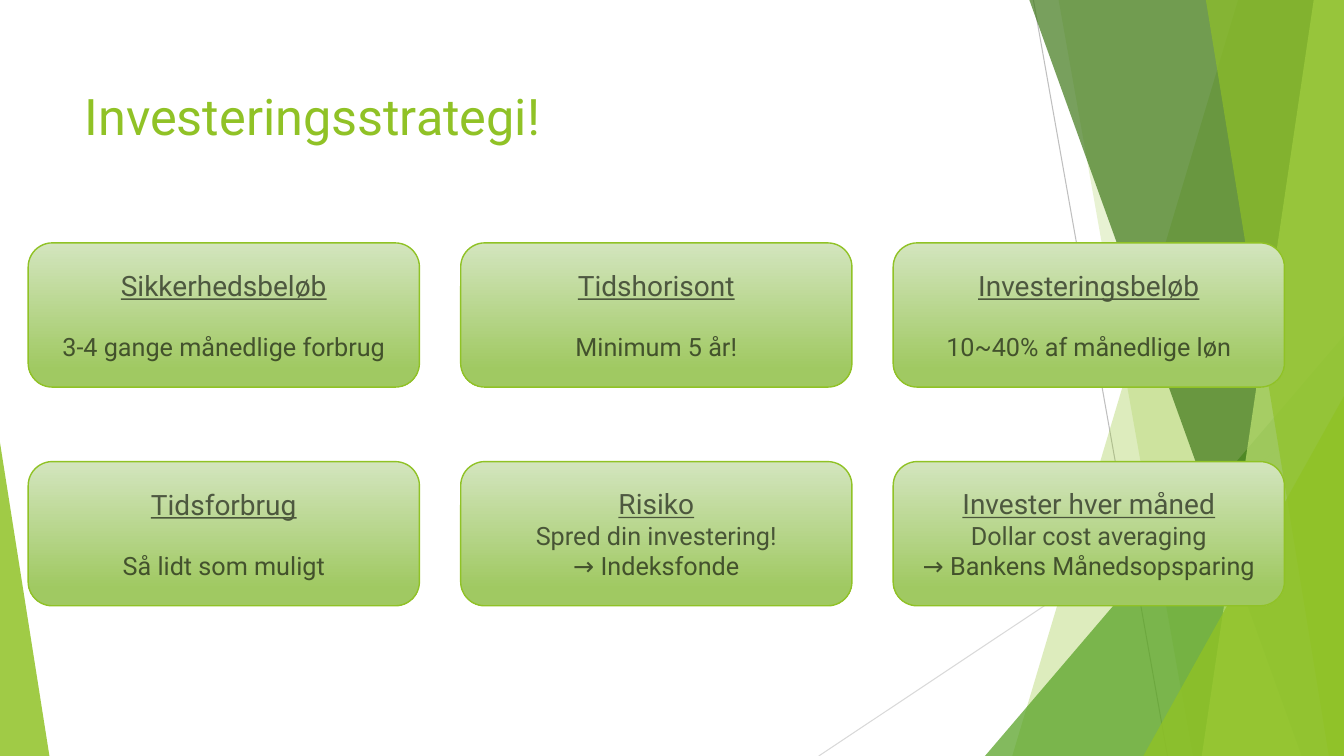
from pptx import Presentation
from pptx.dml.color import RGBColor
from pptx.enum.shapes import MSO_CONNECTOR, MSO_SHAPE
from pptx.enum.text import MSO_ANCHOR, PP_ALIGN
from pptx.oxml.ns import qn
from pptx.oxml.xmlchemy import OxmlElement
from pptx.util import Inches, Pt

LIME = RGBColor(0x90, 0xC2, 0x26)
GRASS = RGBColor(0x54, 0xA0, 0x21)
FOREST = RGBColor(0x3F, 0x78, 0x19)
PALE = RGBColor(0xC0, 0xE4, 0x74)
MIST = RGBColor(0xD3, 0xE5, 0xBE)
LEAF = RGBColor(0xA0, 0xC9, 0x62)
BLACK = RGBColor(0, 0, 0)
SILVER = RGBColor(0xBF, 0xBF, 0xBF)
LIGHT = RGBColor(0xD9, 0xD9, 0xD9)

CARDS = [
    [("Sikkerhedsbeløb", "3-4 gange månedlige forbrug"),
     ("Tidshorisont", "Minimum 5 år!"),
     ("Investeringsbeløb", "10~40% af månedlige løn")],
    [("Tidsforbrug", "Så lidt som muligt"),
     ("Risiko", "Spred din investering!", "→ Indeksfonde"),
     ("Invester hver måned", "Dollar cost averaging", "→ Bankens Månedsopsparing")],
]


class Deck:
    """Draws styled elements on one slide, with lengths in percent of its size."""

    font = "Roboto"

    def __init__(self):
        self.prs = Presentation()
        self.prs.slide_width = Inches(13.33)
        self.prs.slide_height = Inches(7.5)
        self.shapes = self.prs.slides.add_slide(self.prs.slide_layouts[6]).shapes

    def col(self, share):
        return round(self.prs.slide_width * share / 100)

    def row(self, share):
        return round(self.prs.slide_height * share / 100)

    def box(self, left, top, width, height):
        return self.col(left), self.row(top), self.col(width), self.row(height)

    def fade(self, node, share):
        alpha = OxmlElement("a:alpha")
        alpha.set("val", str(share * 1000))
        node.find(".//" + qn("a:srgbClr")).append(alpha)

    def tint(self, shape, color, share):
        shape.shadow.inherit = False
        shape.fill.solid()
        shape.fill.fore_color.rgb = color
        shape.line.fill.background()
        self.fade(shape._element.spPr, share)

    def line(self, start, end, color):
        wire = self.shapes.add_connector(
            MSO_CONNECTOR.STRAIGHT, self.col(start[0]), self.row(start[1]),
            self.col(end[0]), self.row(end[1]))
        wire.line.color.rgb = color
        wire.line.width = Pt(0.75)
        wire._element.spPr.append(OxmlElement("a:effectLst"))

    def slab(self, top, base, color, share):
        path = self.shapes.build_freeform(self.col(top), 0)
        edge, foot = self.col(100), self.row(100)
        path.add_line_segments([(edge, 0), (edge, foot), (self.col(base), foot)])
        self.tint(path.convert_to_shape(), color, share)

    def peak(self, left, top, width, tip, color, share):
        peak = self.shapes.add_shape(
            MSO_SHAPE.ISOSCELES_TRIANGLE, *self.box(left, top, width, 100 - top))
        peak.adjustments[0] = tip
        self.tint(peak, color, share)

    def style(self, para, size, color):
        for run in para.runs:
            run.font.name = self.font
            run.font.size = Pt(size)
            run.font.color.rgb = color

    def title(self, text, *area):
        frame = self.shapes.add_textbox(*self.box(*area)).text_frame
        frame.word_wrap = True
        frame.vertical_anchor = MSO_ANCHOR.MIDDLE
        frame.text = text
        self.style(frame.paragraphs[0], 36, LIME)

    def card(self, lines, *area):
        card = self.shapes.add_shape(MSO_SHAPE.ROUNDED_RECTANGLE, *self.box(*area))
        card.shadow.inherit = False
        card.fill.gradient()
        card.fill.gradient_angle = 270
        for stop, color, place in zip(card.fill.gradient_stops, (MIST, LEAF), (0, 0.88)):
            stop.color.rgb = color
            stop.position = place
        card.line.color.rgb = LIME
        card.line.width = Pt(1)
        frame = card.text_frame
        frame.word_wrap = True
        frame.vertical_anchor = MSO_ANCHOR.MIDDLE
        frame.text = "\n".join(lines)
        for rank, para in enumerate(frame.paragraphs):
            para.alignment = PP_ALIGN.CENTER
            self.style(para, 18 if rank else 20, BLACK)
            for run in para.runs:
                run.font.underline = rank == 0
                self.fade(run._r, 60)
        if len(lines) == 2:
            frame.paragraphs[1].space_before = Pt(21)

    def save(self):
        self.prs.save("out.pptx")


def main():
    deck = Deck()
    deck.line((76.89, 0), (86.87, 100), SILVER)
    deck.line((100, 53.73), (60.92, 100), LIGHT)
    deck.slab(92.12, 75.32, LIME, 30)
    deck.slab(78.77, 88.75, LIME, 20)
    deck.peak(73.29, 44.4, 26.71, 1, GRASS, 72)
    deck.slab(76.59, 96.85, FOREST, 70)
    deck.slab(97.75, 89.42, PALE, 70)
    deck.slab(89.72, 98.87, LIME, 65)
    deck.peak(85.07, 52.4, 14.93, 1, LIME, 80)
    deck.peak(0, 58.53, 3.68, 0, LIME, 85)
    deck.title("Investeringsstrategi!", 5.55, 8.93, 59.71, 12.67)
    for row, cards in enumerate(CARDS):
        for col, lines in enumerate(cards):
            deck.card(lines, 2.1 + 32.18 * col, 32.13 + 28.93 * row, 29.11, 19.07)
    deck.save()


if __name__ == "__main__":
    main()
